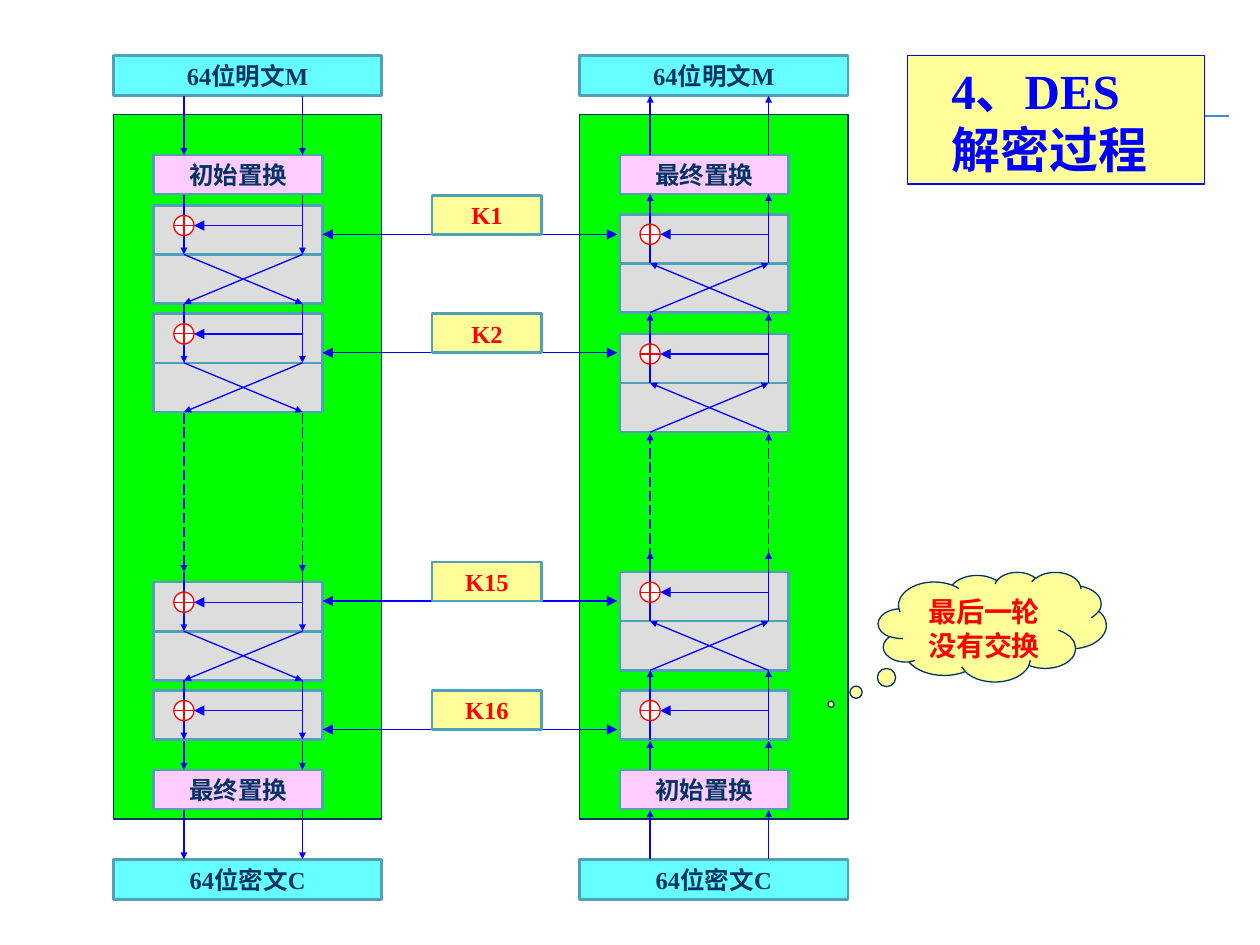
"""Build the DES decryption slide: encryption and decryption columns sharing round keys."""
from lxml import etree
from pptx import Presentation
from pptx.dml.color import RGBColor
from pptx.enum.dml import MSO_LINE
from pptx.enum.shapes import MSO_CONNECTOR, MSO_SHAPE
from pptx.enum.text import MSO_ANCHOR, MSO_AUTO_SIZE, PP_ALIGN
from pptx.oxml.ns import qn
from pptx.util import Inches, Pt

RECT = MSO_SHAPE.RECTANGLE
XOR = MSO_SHAPE.FLOWCHART_OR
CLOUD = MSO_SHAPE.CLOUD_CALLOUT
STRAIGHT = MSO_CONNECTOR.STRAIGHT
DASH = MSO_LINE.LONG_DASH
TOP, MIDDLE = MSO_ANCHOR.TOP, MSO_ANCHOR.MIDDLE
LEFT, CENTER = PP_ALIGN.LEFT, PP_ALIGN.CENTER
NO_FIT = MSO_AUTO_SIZE.NONE

NAVY, TEAL, BLUE, RED = "003366", "51A0B9", "0000FF", "FF0000"
GREEN, CYAN, PINK, GRAY = "00FF00", "66FFFF", "FFCCFF", "DDDDDD"
YELLOW, WHITE, RULE = "FFFF99", "FFFFFF", "438ACB"
SERIF, SANS = "Times New Roman", "Arial"


def rgb(value):
    return RGBColor.from_string(value)


class Diagram:
    """Holds the slide and draws each kind of element on it."""

    def __init__(self, prs):
        self.s = prs.slides.add_slide(prs.slide_layouts[5])

    def paint(self, sp, fill, line, width):
        sp.fill.solid()
        sp.fill.fore_color.rgb = rgb(fill)
        sp.line.color.rgb = rgb(line)
        sp.line.width = Pt(width)

    def put_text(self, sp, text, size, color, font=SERIF, align=CENTER,
                 anchor=MIDDLE, wrap=False, inset=(0.08, 0.04)):
        tf = sp.text_frame
        tf.text = text
        tf.word_wrap = wrap
        tf.auto_size = NO_FIT
        tf.vertical_anchor = anchor
        tf.margin_left = tf.margin_right = Inches(inset[0])
        tf.margin_top = tf.margin_bottom = Inches(inset[1])
        for p in tf.paragraphs:
            p.alignment = align
            for r in p.runs:
                r.font.name = font
                r.font.size = Pt(size)
                r.font.bold = True
                r.font.color.rgb = rgb(color)

    def shape(self, kind, x, y, w, h, fill, line=TEAL, width=1.5):
        sp = self.s.shapes.add_shape(kind, Inches(x), Inches(y), Inches(w), Inches(h))
        sp.shadow.inherit = False
        self.paint(sp, fill, line, width)
        return sp

    def label(self, text, x, y, w, h, fill, color=NAVY):
        self.put_text(self.shape(RECT, x, y, w, h, fill), text, 14, color)

    def line(self, x1, y1, x2, y2, color=BLUE, ends=("tailEnd",), size="sm", dash=None):
        cn = self.s.shapes.add_connector(
            STRAIGHT, Inches(x1), Inches(y1), Inches(x2), Inches(y2))
        cn.line.color.rgb = rgb(color)
        cn.line.width = Pt(0.75)
        if dash:
            cn.line.dash_style = dash
        ln = cn._element.spPr.find(qn("a:ln"))
        for end in ends:
            etree.SubElement(ln, qn("a:" + end), type="triangle", w=size, len=size)
        etree.SubElement(cn._element.spPr, qn("a:effectLst"))
        return cn

    def pair(self, x, y1, y2, dash=None):
        for offset in (0.56, 1.5):
            self.line(x + offset, y1, x + offset, y2, dash=dash)

    def cipher_round(self, x, top, upward, swap):
        left, right, mid, bottom = x + 0.56, x + 1.5, top + 0.39, top + 0.78
        self.shape(RECT, x + 0.32, top, 1.34, 0.39, GRAY)
        if swap:
            self.shape(RECT, x + 0.32, mid, 1.34, 0.39, GRAY)
            start, end = (bottom, mid) if upward else (mid, bottom)
            self.line(left, start, right, end)
            self.line(right, start, left, end)
        if upward:
            self.pair(x, mid, top - 0.16)
        else:
            self.pair(x, top - 0.08, mid)
        self.line(right, top + 0.16, left + 0.08, top + 0.16, size="med")
        self.shape(XOR, left - 0.08, top + 0.08, 0.16, 0.16, WHITE, RED, 0.75)

    def column(self, x, first, last, tops, flows, gap, upward):
        self.shape(RECT, x, 0.91, 2.13, 5.59, GREEN, NAVY, 0.75)
        self.label("64位明文M", x, 0.44, 2.13, 0.32, CYAN)
        self.label(first, x + 0.32, 1.23, 1.34, 0.31, PINK)
        self.label(last, x + 0.32, 6.11, 1.34, 0.31, PINK)
        self.label("64位密文C", x, 6.82, 2.13, 0.32, CYAN)
        for top in tops:
            self.cipher_round(x, top, upward, swap=top != tops[-1])
        for y1, y2 in flows:
            self.pair(x, *((y2, y1) if upward else (y1, y2)))
        self.pair(x, *gap, dash=DASH)

    def key(self, text, y):
        self.line(2.56, y + 0.31, 4.9, y + 0.31, ends=("headEnd", "tailEnd"), size="med")
        self.label(text, 3.43, y, 0.87, 0.31, YELLOW, RED)

    def cloud(self, text):
        sp = self.shape(CLOUD, 6.97, 4.54, 1.81, 0.87, YELLOW, NAVY, 0.75)
        sp.adjustments[0], sp.adjustments[1] = -0.707, 0.706
        self.put_text(sp, text, 16, RED, SANS, anchor=TOP, wrap=True, inset=(0.1, 0.05))

    def title(self, text):
        sp = self.s.shapes.title
        sp.left, sp.top, sp.width, sp.height = map(Inches, (7.2, 0.44, 2.36, 1.02))
        self.paint(sp, YELLOW, BLUE, 0.75)
        self.put_text(sp, text, 28, BLUE, align=LEFT, anchor=TOP, wrap=True)
        sp.text_frame.margin_left = Inches(0.35)
        rule = self.line(8.75, 0.92, 9.75, 0.92, RULE, ends=())
        sp._element.addprevious(rule._element)


def main():
    prs = Presentation()
    prs.slide_width, prs.slide_height = Inches(10), Inches(7.5)
    d = Diagram(prs)
    d.title("4、DES\n解密过程")
    flows = [(0.76, 1.23), (5.88, 6.11), (6.43, 6.82)]
    d.column(0.9, "初始置换", "最终置换", (1.63, 2.49, 4.62, 5.48), flows,
             (3.28, 4.54), upward=False)
    d.column(4.6, "最终置换", "初始置换", (1.7, 2.65, 4.54, 5.48), flows,
             (4.54, 3.44), upward=True)
    for text, y in (("K1", 1.55), ("K2", 2.49), ("K15", 4.46), ("K16", 5.48)):
        d.key(text, y)
    d.cloud("最后一轮没有交换")
    prs.save("out.pptx")


if __name__ == "__main__":
    main()
